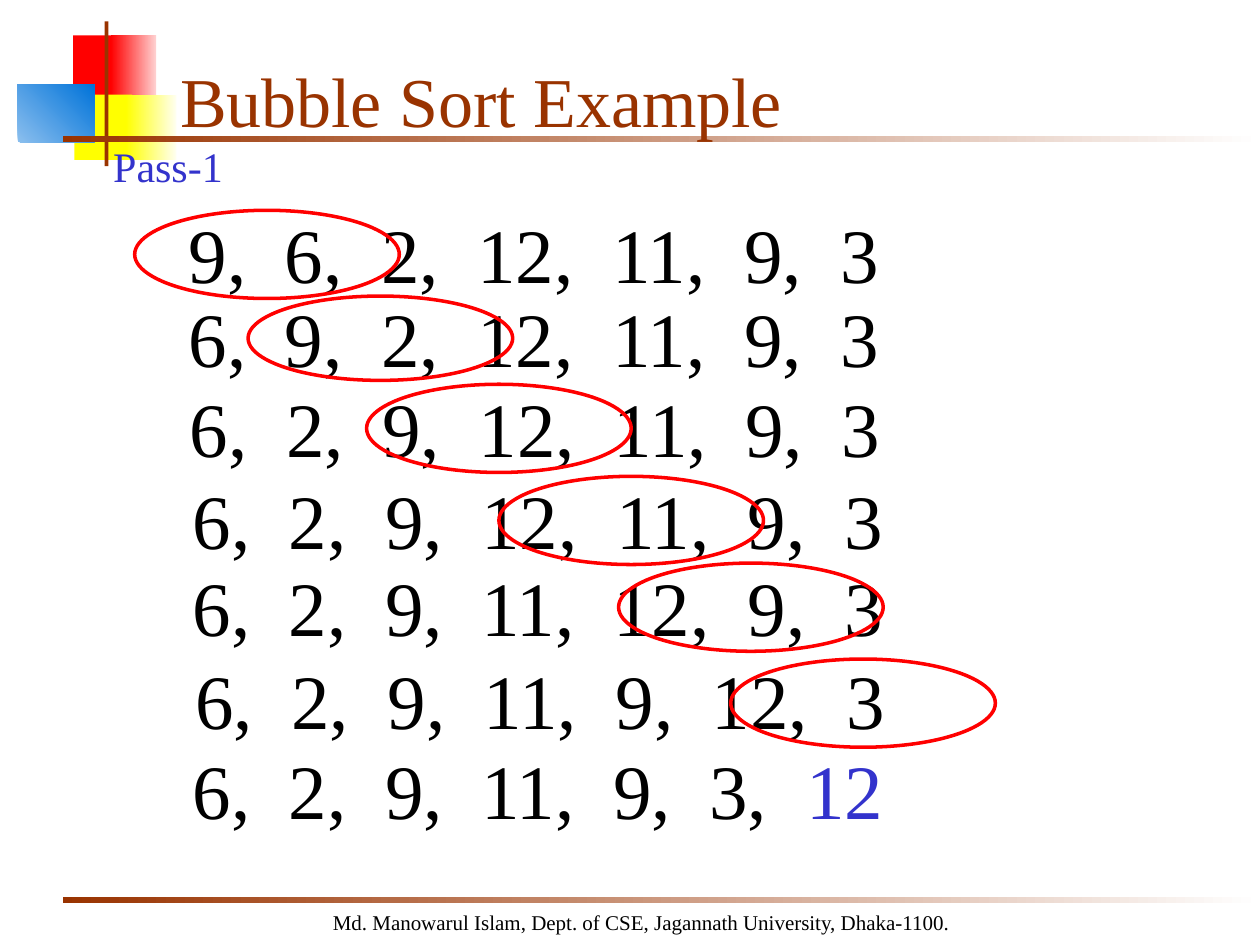
import dataclasses

import pptx
import pptx.dml.color
import pptx.enum.shapes
import pptx.enum.text
import pptx.util

Pt = pptx.util.Pt
SHAPES = pptx.enum.shapes.MSO_SHAPE
ALIGN = pptx.enum.text.PP_ALIGN
ANCHOR = pptx.enum.text.MSO_ANCHOR


@dataclasses.dataclass(frozen=True)
class Theme:
    font: str = "Times New Roman"
    brown: str = "993300"
    white: str = "FFFFFF"
    black: str = "000000"
    accent: str = "3333CC"
    red: str = "FF0000"
    pale_red: str = "FFD1D1"
    yellow: str = "FFFF00"
    pale_yellow: str = "FFFFF0"
    blue: str = "0073D9"
    pale_blue: str = "8BBFEE"
    title_size: int = 40
    number_size: int = 44
    pass_size: int = 24
    footer_size: int = 12


THEME = Theme()
NUMBERS = [9, 6, 2, 12, 11, 9, 3]
SEPARATOR = ",  "

# Left and top of each row of numbers
ROW_PLACES = [(100.8, 114.5), (100.8, 162.7), (101.5, 213.8), (103, 266.4),
              (103, 316.1), (104.4, 369.4), (103, 420.5)]
# Left, top and height of the ring round each compared pair
RING_PLACES = [(77, 120.2, 50.4), (141.8, 169.2, 48.2), (209.5, 219.6, 50.4),
               (285.1, 272.2, 50.4), (353.5, 321.8, 50.4), (417.6, 376.6, 50.4)]


def rgb(color):
    return pptx.dml.color.RGBColor.from_string(color)


def add_block(slide, box, start, end=None, angle=0):
    """Borderless rectangle, plain or fading from start to end."""
    block = slide.shapes.add_shape(SHAPES.RECTANGLE, *map(Pt, box))
    block.shadow.inherit = False
    block.line.fill.background()
    if end is None:
        block.fill.solid()
        block.fill.fore_color.rgb = rgb(start)
    else:
        block.fill.gradient()
        block.fill.gradient_angle = angle
        for stop, color in zip(block.fill.gradient_stops, (start, end)):
            stop.color.rgb = rgb(color)


def add_ring(slide, left, top, height):
    ring = slide.shapes.add_shape(SHAPES.OVAL, Pt(left), Pt(top), Pt(151.2), Pt(height))
    ring.shadow.inherit = False
    ring.fill.background()
    ring.line.color.rgb = rgb(THEME.red)
    ring.line.width = Pt(2)


def format_run(run, size, color):
    run.font.name = THEME.font
    run.font.size = Pt(size)
    run.font.color.rgb = rgb(color)


def add_text(slide, box, text, size, color, align=ALIGN.LEFT, anchor=ANCHOR.TOP):
    """Text box of one paragraph; returns the paragraph."""
    frame = slide.shapes.add_textbox(*map(Pt, box)).text_frame
    frame.word_wrap = True
    frame.vertical_anchor = anchor
    frame.text = text
    paragraph = frame.paragraphs[0]
    paragraph.alignment = align
    format_run(paragraph.runs[0], size, color)
    return paragraph


def add_decoration(slide):
    add_block(slide, (41.8, 20.2, 25.2, 37.4), THEME.red)
    add_block(slide, (63.4, 20.2, 25.9, 37.4), THEME.red, THEME.pale_red)
    add_block(slide, (42.5, 54, 33.1, 37.4), THEME.yellow)
    add_block(slide, (72, 54, 28.8, 37.4), THEME.yellow, THEME.pale_yellow)
    add_block(slide, (10.1, 48.2, 43.9, 33.1), THEME.pale_blue, THEME.blue, 45)
    add_block(slide, (59.8, 12.2, 2.2, 82.8), THEME.brown)
    for rule_top in (77.8, 512.6):
        add_block(slide, (36, rule_top, 684, 3.6), THEME.brown, THEME.white)


def add_sorting_pass(slide):
    """One row per comparison, each showing the numbers before it."""
    numbers = list(NUMBERS)
    for step, (left, top) in enumerate(ROW_PLACES):
        box = (left, top, 465.8, 60.5)
        if step < len(RING_PLACES):
            add_text(slide, box, SEPARATOR.join(map(str, numbers)),
                     THEME.number_size, THEME.black)
            add_ring(slide, *RING_PLACES[step])
            numbers[step:step + 2] = sorted(numbers[step:step + 2])
        else:
            # The largest number has reached its place
            unsorted = SEPARATOR.join(map(str, numbers[:-1])) + SEPARATOR
            row = add_text(slide, box, unsorted, THEME.number_size, THEME.black)
            largest = row.add_run()
            largest.text = str(numbers[-1])
            format_run(largest, THEME.number_size, THEME.accent)


def main():
    deck = pptx.Presentation()
    deck.slide_width, deck.slide_height = Pt(720), Pt(540)
    slide = deck.slides.add_slide(deck.slide_layouts[6])

    # Background and footer
    add_decoration(slide)
    add_text(slide, (27.4, 516.2, 678.2, 21.6),
             "Md. Manowarul Islam, Dept. of CSE, Jagannath University, Dhaka-1100.",
             THEME.footer_size, THEME.black, align=ALIGN.CENTER)

    # Title and content
    add_text(slide, (95.8, 18, 613.4, 66.2), "Bubble Sort Example",
             THEME.title_size, THEME.brown, anchor=ANCHOR.BOTTOM)
    add_sorting_pass(slide)
    add_text(slide, (57.6, 77, 147.6, 36), "Pass-1", THEME.pass_size, THEME.accent)

    deck.save("out.pptx")


if __name__ == "__main__":
    main()
